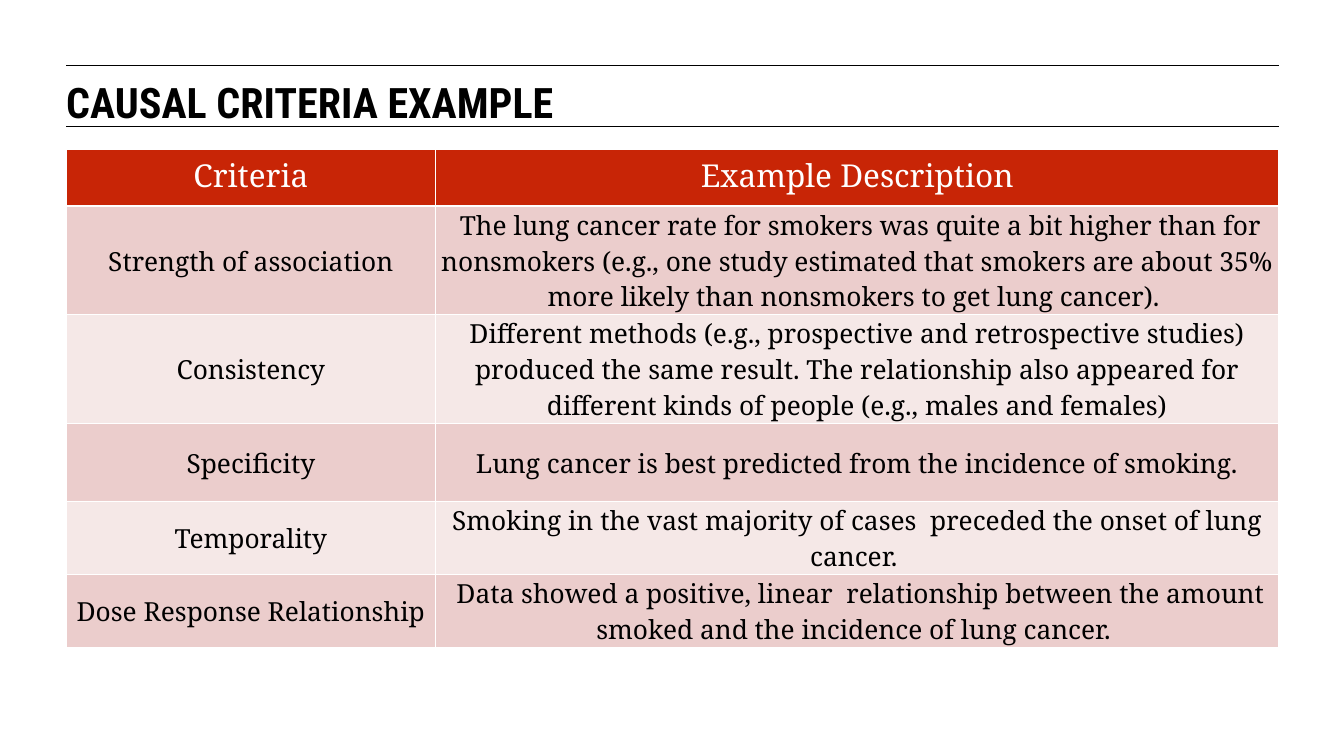
"""Build the causal criteria slide: a ruled title above a two-column table."""
from lxml import etree
from pptx import Presentation
from pptx import util as u
from pptx.dml.color import RGBColor
from pptx.enum import shapes, text
from pptx.oxml import ns

BLACK = RGBColor(0x00, 0x00, 0x00)
WHITE = RGBColor(0xFF, 0xFF, 0xFF)
RED = RGBColor(0xC8, 0x25, 0x06)
PINK = RGBColor(0xEB, 0xCD, 0xCC)
PALE = RGBColor(0xF5, 0xE8, 0xE7)

LEFT, WIDTH = 0.7, 12.83
COLUMNS = [3.91, 8.92]
ROWS = [
    (0.6, "Criteria", "Example Description"),
    (1.15, "Strength of association",
     " The lung cancer rate for smokers was quite a bit higher than for nonsmokers "
     "(e.g., one study estimated that smokers are about 35% more likely than "
     "nonsmokers to get lung cancer). "),
    (1.15, "Consistency",
     " Different methods (e.g., prospective and retrospective studies)  produced the "
     "same result. The relationship also appeared for different kinds of people "
     "(e.g., males and females)"),
    (0.83, "Specificity",
     "Lung cancer is best predicted from the incidence of smoking."),
    (0.77, "Temporality",
     "Smoking in the vast majority of cases  preceded the onset of lung cancer. "),
    (0.77, "Dose Response Relationship",
     " Data showed a positive, linear  relationship between the amount smoked and "
     "the incidence of lung cancer. "),
]


def style(para, font, size, color, bold=False):
    for span in para.runs:
        span.font.name = font
        span.font.size = u.Pt(size)
        span.font.color.rgb = color
        span.font.bold = bold


def add_border(cell, side):
    line = etree.SubElement(cell._tc.get_or_add_tcPr(), ns.qn(f"a:{side}"), w=str(u.Pt(1)))
    fill = etree.SubElement(line, ns.qn("a:solidFill"))
    etree.SubElement(fill, ns.qn("a:srgbClr"), val=str(WHITE))


deck = Presentation()
deck.slide_width, deck.slide_height = u.Inches(14.22), u.Inches(7.99)
page = deck.slides.add_slide(deck.slide_layouts[6])

for top in (0.69, 1.34):
    rule = page.shapes.add_connector(
        shapes.MSO_CONNECTOR.STRAIGHT,
        u.Inches(LEFT), u.Inches(top), u.Inches(LEFT + WIDTH), u.Inches(top))
    rule.line.color.rgb = BLACK
    rule.line.width = u.Pt(0.75)
    etree.SubElement(rule._element.spPr, ns.qn("a:effectLst"))

box = page.shapes.add_textbox(u.Inches(LEFT), u.Inches(0.81), u.Inches(WIDTH), u.Inches(0.47))
frame = box.text_frame
frame.word_wrap = True
frame.margin_left = frame.margin_right = frame.margin_top = frame.margin_bottom = 0
frame.text = "CAUSAL CRITERIA EXAMPLE"
style(frame.paragraphs[0], "Roboto Condensed", 32, BLACK, bold=True)

table = page.shapes.add_table(
    len(ROWS), len(COLUMNS), u.Inches(LEFT), u.Inches(1.58),
    u.Inches(WIDTH), u.Inches(sum(row[0] for row in ROWS))).table
for column, width in zip(table.columns, COLUMNS):
    column.width = u.Inches(width)

for index, (height, *words) in enumerate(ROWS):
    table.rows[index].height = u.Inches(height)
    header = index == 0
    for column, wording in enumerate(words):
        cell = table.cell(index, column)
        for side in ("lnL", "lnR", "lnT", "lnB"):
            add_border(cell, side)
        cell.fill.solid()
        cell.fill.fore_color.rgb = RED if header else PINK if index % 2 else PALE
        if not header:
            cell.vertical_anchor = text.MSO_ANCHOR.MIDDLE
            cell.margin_left = cell.margin_right = cell.margin_top = u.Inches(0.01)
            cell.margin_bottom = 0
        cell.text_frame.text = wording
        para = cell.text_frame.paragraphs[0]
        para.alignment = text.PP_ALIGN.CENTER
        style(para, "Noto Serif", 24 if header else 20, WHITE if header else BLACK)

deck.save("out.pptx")
